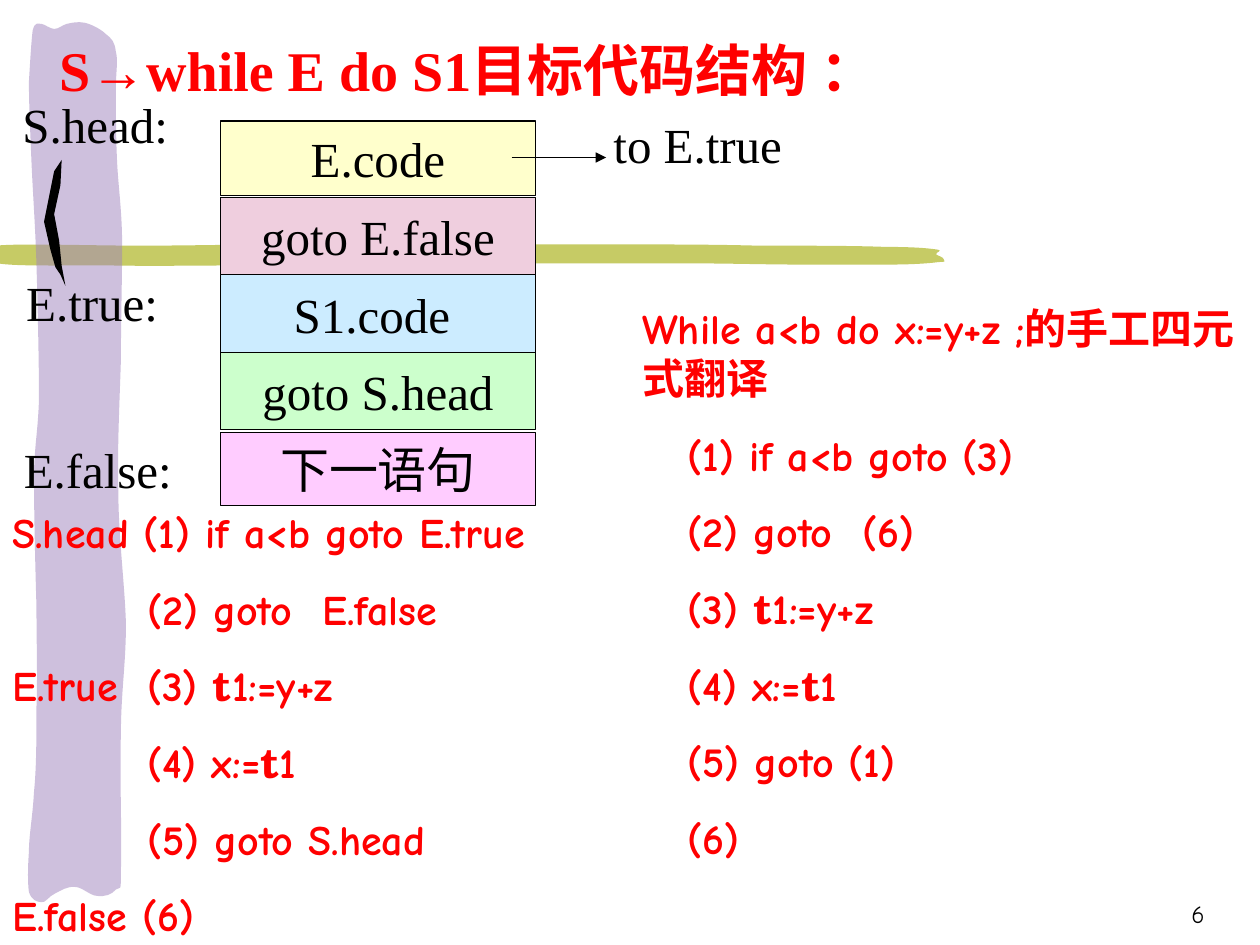
"""Build the slide on the target code layout of the while statement."""
from lxml.etree import SubElement
from pptx import Presentation
from pptx.dml.color import RGBColor
from pptx.enum.shapes import MSO_CONNECTOR, MSO_SHAPE
from pptx.enum.text import MSO_ANCHOR, PP_ALIGN
from pptx.oxml.ns import qn
from pptx.util import Inches, Pt

COLORS = {
    "black": "000000", "red": "FF0000", "olive": "C6CB65", "violet": "9F83BD",
    "yellow": "FFFFCC", "rose": "EFCEDE", "blue": "CCECFF", "green": "CCFFCC",
    "pink": "FFCCFF",
}
SERIF, COMIC, TEMPORARY = "Times New Roman", "Comic Neue", "TeX Gyre Bonum"

TITLE = "S→while E do S1目标代码结构 ："
CODE_BLOCKS = [
    ("E.code", 0.96, 0.59, "yellow"),
    ("S1.code ", 2.18, 0.63, "blue"),
    ("下一语句", 3.43, 0.58, "pink"),
    ("goto S.head", 2.8, 0.61, "green"),
    ("goto E.false", 1.57, 0.61, "rose"),
]
LABELS = [
    ("S.head:", 0.08, 0.7, 1.75),
    ("E.true:", 0.11, 2.11, 1.58),
    ("E.false:", 0.09, 3.44, 1.58),
    ("to E.true", 4.77, 0.86, 1.92),
]
MANUAL_QUADS = [
    "While a<b do x:=y+z ;的手工四元式翻译",
    "\t(1) if a<b goto (3)",
    "\t(2) goto\t(6)",
    "\t(3) |t|1:=y+z",
    "\t(4) x:=|t|1",
    "\t(5) goto (1)",
    "\t(6)",
]
LABELLED_QUADS = [
    "S.head (1) if a<b goto E.true",
    "\t(2) goto\tE.false",
    "E.true\t(3) |t|1:=y+z",
    "\t(4) x:=|t|1",
    "\t(5) goto S.head",
    "E.false (6)",
]

HORIZONTAL_STROKE = [
    (6.01, 1.95), (6.36, 1.95, 6.78, 1.95, 7.02, 1.96),
    (7.25, 1.96, 7.36, 1.97, 7.43, 1.98), (7.5, 1.99, 7.42, 2, 7.43, 2.02),
    (7.44, 2.03, 7.49, 2.04, 7.49, 2.06), (7.49, 2.07, 7.52, 2.08, 7.45, 2.08),
    (7.38, 2.09, 7.24, 2.1, 7.06, 2.1), (6.88, 2.1, 6.63, 2.1, 6.35, 2.1),
    (6.08, 2.1, 5.77, 2.09, 5.41, 2.09), (5.04, 2.09, 4.55, 2.09, 4.14, 2.09),
    (3.74, 2.09, 3.49, 2.1, 2.98, 2.1), (2.48, 2.1, 1.62, 2.11, 1.11, 2.11),
    (0.61, 2.1, 0.16, 2.12, -0.02, 2.09), (-0.03, 1.95),
    (0.16, 1.93, 0.72, 1.95, 1.11, 1.95), (1.51, 1.95, 1.85, 1.94, 2.32, 1.94),
    (2.78, 1.94, 3.48, 1.94, 3.91, 1.94), (4.34, 1.94, 4.55, 1.94, 4.89, 1.94),
    (5.24, 1.94, 5.66, 1.94, 6.01, 1.95),
]
VERTICAL_STROKE = [
    (0.29, 5.61), (0.3, 5.37, 0.29, 5.12, 0.29, 4.81),
    (0.28, 4.5, 0.27, 4.03, 0.27, 3.75), (0.28, 3.48, 0.3, 3.44, 0.31, 3.17),
    (0.31, 2.89, 0.3, 2.42, 0.29, 2.1), (0.28, 1.78, 0.26, 1.52, 0.25, 1.27),
    (0.24, 1.03, 0.23, 0.82, 0.23, 0.65), (0.24, 0.48, 0.25, 0.32, 0.26, 0.24),
    (0.28, 0.17, 0.3, 0.19, 0.33, 0.19), (0.35, 0.19, 0.4, 0.23, 0.43, 0.23),
    (0.47, 0.23, 0.49, 0.2, 0.53, 0.19), (0.57, 0.18, 0.62, 0.17, 0.67, 0.18),
    (0.72, 0.19, 0.8, 0.23, 0.84, 0.27), (0.89, 0.31, 0.91, 0.33, 0.92, 0.41),
    (0.94, 0.48, 0.92, 0.57, 0.92, 0.71), (0.92, 0.86, 0.92, 1.08, 0.93, 1.29),
    (0.94, 1.49, 0.97, 1.68, 0.97, 1.95), (0.97, 2.21, 0.96, 2.54, 0.96, 2.86),
    (0.95, 3.19, 0.93, 3.56, 0.94, 3.91), (0.94, 4.25, 0.99, 4.63, 1, 4.95),
    (1, 5.27, 0.96, 5.5, 0.96, 5.83), (0.95, 6.15, 0.97, 6.69, 0.96, 6.9),
    (0.96, 7.1, 0.96, 7.03, 0.92, 7.06), (0.89, 7.1, 0.83, 7.12, 0.77, 7.11),
    (0.72, 7.11, 0.65, 7.04, 0.6, 7.04), (0.54, 7.03, 0.48, 7.07, 0.44, 7.09),
    (0.39, 7.11, 0.36, 7.17, 0.33, 7.16), (0.29, 7.16, 0.25, 7.14, 0.23, 7.08),
    (0.22, 7.01, 0.22, 6.89, 0.23, 6.76), (0.23, 6.63, 0.26, 6.48, 0.27, 6.29),
    (0.29, 6.1, 0.29, 5.86, 0.29, 5.61),
]
BRACKET = [
    (0.49, 1.27), (0.48, 1.47), (0.43, 1.7), (0.47, 1.91), (0.49, 2.11),
    (0.52, 2.27), (0.48, 2.18), (0.44, 2.12), (0.4, 1.98), (0.35, 1.76),
    (0.39, 1.56), (0.43, 1.36), (0.49, 1.27),
]


def rgb(name):
    return RGBColor.from_string(COLORS[name])


def add_stroke(slide, pieces, color, opacity=None):
    first, *rest = [(Inches(piece[-2]), Inches(piece[-1])) for piece in pieces]
    builder = slide.shapes.build_freeform(*first)
    builder.add_line_segments(rest, close=True)
    stroke = builder.convert_to_shape()
    sides = list(stroke._element.iter(qn("a:lnTo")))
    for side, piece in zip(sides, pieces[1:]):
        if len(piece) == 6:
            side.tag = qn("a:cubicBezTo")
            end = side[0]
            for x, y in (piece[:2], piece[2:4]):
                end.addprevious(end.makeelement(qn("a:pt"), {
                    "x": str(Inches(x) - stroke.left),
                    "y": str(Inches(y) - stroke.top)}))
    stroke.shadow.inherit = False
    stroke.fill.solid()
    stroke.fill.fore_color.rgb = rgb(color)
    stroke.line.fill.background()
    if opacity:
        tint = stroke._element.spPr.find(".//" + qn("a:srgbClr"))
        SubElement(tint, qn("a:alpha"), val=str(opacity * 1000))


def add_text(slide, lines, *box, fill=None, size=28, font=SERIF, color="black",
             bold=None, align=PP_ALIGN.LEFT, anchor=MSO_ANCHOR.TOP, wrap=True,
             gap=0, tabs=()):
    place = [Inches(length) for length in box]
    if fill:
        holder = slide.shapes.add_shape(MSO_SHAPE.RECTANGLE, *place)
        holder.shadow.inherit = False
        holder.fill.solid()
        holder.fill.fore_color.rgb = rgb(fill)
        holder.line.color.rgb = rgb("black")
        holder.line.width = Pt(0.75)
    else:
        holder = slide.shapes.add_textbox(*place)
    frame = holder.text_frame
    frame.word_wrap = wrap
    frame.vertical_anchor = anchor
    for i, line in enumerate(lines):
        paragraph = frame.add_paragraph() if i else frame.paragraphs[0]
        paragraph.alignment = align
        if tabs and "\t" in line:
            stops = SubElement(paragraph._p.get_or_add_pPr(), qn("a:tabLst"))
            for stop in tabs:
                SubElement(stops, qn("a:tab"), pos=str(Inches(stop)), algn="l")
        if i and gap:
            paragraph.space_before = Pt(gap)
        for k, part in enumerate(line.split("|")):
            run = paragraph.add_run()
            run.text = part
            run.font.name = TEMPORARY if k % 2 else font
            run.font.size = Pt(size)
            run.font.bold = bold
            run.font.color.rgb = rgb(color)


def add_arrow(slide, *ends):
    arrow = slide.shapes.add_connector(
        MSO_CONNECTOR.STRAIGHT, *[Inches(length) for length in ends])
    arrow.line.color.rgb = rgb("black")
    arrow.line.width = Pt(0.75)
    SubElement(arrow.line._get_or_add_ln(), qn("a:tailEnd"), type="triangle")
    SubElement(arrow._element.spPr, qn("a:effectLst"))


def main():
    deck = Presentation()
    deck.slide_width, deck.slide_height = Inches(10), Inches(7.5)
    slide = deck.slides.add_slide(deck.slide_layouts[6])

    add_stroke(slide, HORIZONTAL_STROKE, "olive")
    add_stroke(slide, VERTICAL_STROKE, "violet", opacity=50)
    add_stroke(slide, BRACKET, "black")
    add_text(slide, ["6"], 7.58, 6.92, 2.08, 0.5, size=14, font=COMIC,
             align=PP_ALIGN.RIGHT, anchor=MSO_ANCHOR.BOTTOM)

    for text, top, height, fill in CODE_BLOCKS:
        add_text(slide, [text], 1.75, top, 2.5, height, fill=fill, wrap=False,
                 align=PP_ALIGN.CENTER, anchor=MSO_ANCHOR.MIDDLE)
    for text, left, top, width in LABELS:
        add_text(slide, [text], left, top, width, 0.57)
    add_arrow(slide, 4.06, 1.25, 4.81, 1.25)

    red = {"color": "red", "bold": True}
    quads = {"size": 24, "font": COMIC, "gap": 15, **red}
    add_text(slide, [TITLE], 0.37, 0.23, 6.81, 0.64, size=32, wrap=False, **red)
    add_text(slide, MANUAL_QUADS, 5, 2.35, 5, 5.16, tabs=(0.36, 1.75), **quads)
    add_text(slide, LABELLED_QUADS, 0, 3.97, 5.08, 3.54, tabs=(1.07, 2.46), **quads)
    deck.save("out.pptx")


if __name__ == "__main__":
    main()
